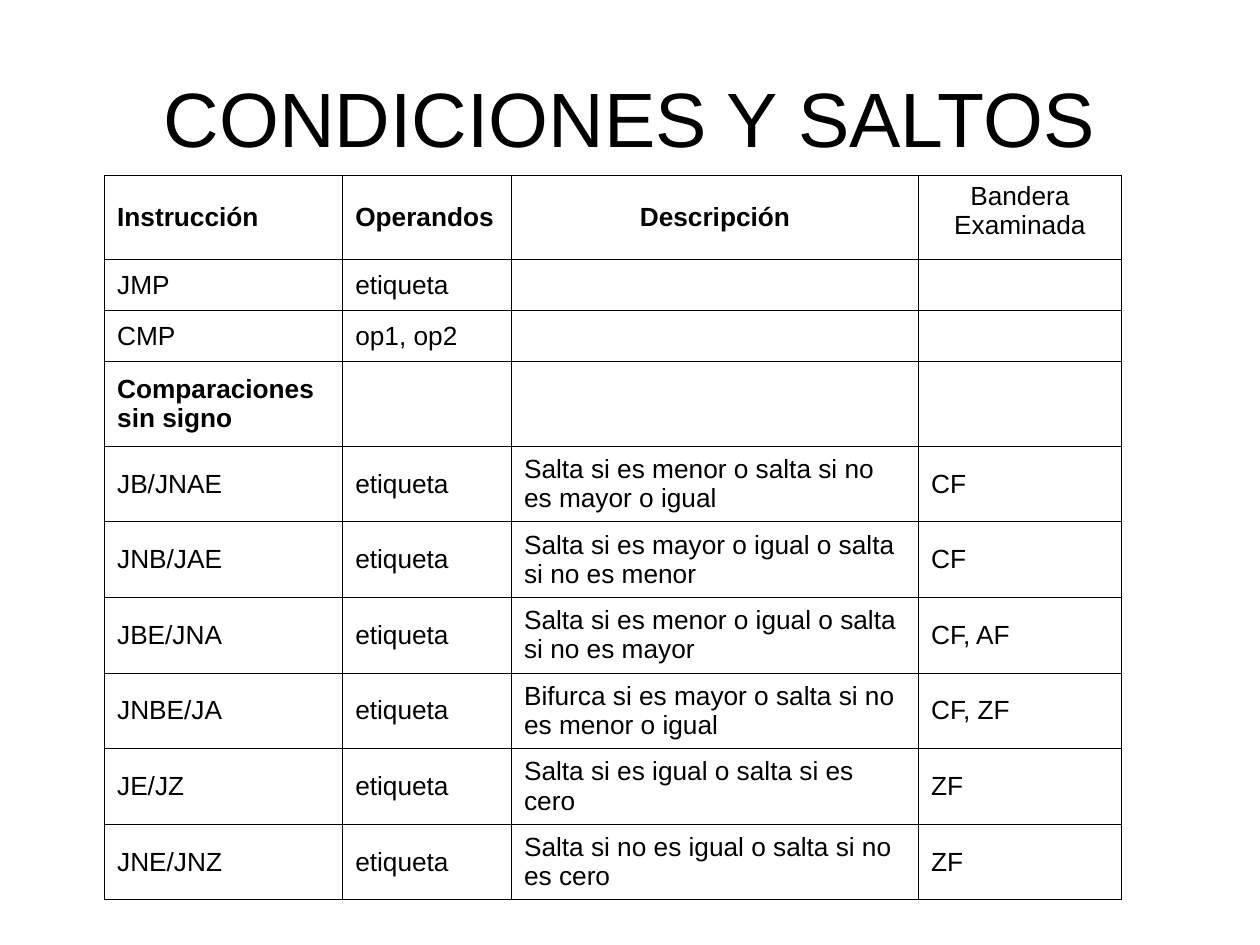
"""Build the slide listing jump instructions, their operands and flags."""
from dataclasses import dataclass

from lxml import etree
from pptx import Presentation
from pptx.dml.color import RGBColor
from pptx.enum.text import MSO_ANCHOR, PP_ALIGN
from pptx.oxml.ns import qn
from pptx.util import Inches, Pt

CENTER, LEFT = PP_ALIGN.CENTER, PP_ALIGN.LEFT
TOP, MIDDLE = MSO_ANCHOR.TOP, MSO_ANCHOR.MIDDLE


@dataclass(frozen=True)
class Theme:
    font: str = "Arial"
    ink: str = "000000"
    paper: str = "FFFFFF"
    title_size: float = 44
    cell_size: float = 15
    thin: float = 0.34
    thick: float = 0.45


theme = Theme()


def style_text(para, size, bold, align):
    para.alignment = align
    for span in para.runs:
        span.font.name = theme.font
        span.font.size = Pt(size)
        span.font.bold = bold
        span.font.color.rgb = RGBColor.from_string(theme.ink)


def add_borders(cell, thick_sides):
    properties = cell._tc.get_or_add_tcPr()
    for side in "LRTB":
        width = theme.thick if side in thick_sides else theme.thin
        line = etree.SubElement(properties, qn(f"a:ln{side}"), w=str(Pt(width)))
        fill = etree.SubElement(line, qn("a:solidFill"))
        etree.SubElement(fill, qn("a:srgbClr"), val=theme.ink)


deck = Presentation()
deck.slide_width, deck.slide_height = Inches(10), Inches(7.5)
page = deck.slides.add_slide(deck.slide_layouts[5])

title = page.shapes.title
title.left, title.top = Inches(0.5), Inches(0.3)
title.width, title.height = Inches(9), Inches(1.25)
title.text_frame.text = "CONDICIONES Y SALTOS"
title.text_frame.vertical_anchor = MIDDLE
style_text(title.text_frame.paragraphs[0], theme.title_size, False, CENTER)

jumps = [
    ("JB/JNAE", "Salta si es menor o salta si no es mayor o igual", "CF"),
    ("JNB/JAE", "Salta si es mayor o igual o salta si no es menor", "CF"),
    ("JBE/JNA", "Salta si es menor o igual o salta si no es mayor", "CF, AF"),
    ("JNBE/JA", "Bifurca si es mayor o salta si no es menor o igual", "CF, ZF"),
    ("JE/JZ", "Salta si es igual o salta si es cero", "ZF"),
    ("JNE/JNZ", "Salta si no es igual o salta si no es cero", "ZF"),
]
rows = [
    ("Instrucción", "Operandos", "Descripción", "Bandera Examinada"),
    ("JMP", "etiqueta", "", ""),
    ("CMP", "op1, op2", "", ""),
    ("Comparaciones sin signo", "", "", ""),
]
rows += [(name, "etiqueta", meaning, flag) for name, meaning, flag in jumps]
column_widths = [1.89, 1.34, 3.23, 1.61]
row_heights = [0.67, 0.39, 0.4, 0.67] + [0.6] * len(jumps)
bold_cells = {(0, 0), (0, 1), (0, 2), (3, 0)}
centered_cells = {(0, 2), (0, 3)}
flag_header = (0, 3)
thick_borders = {flag_header: "TR", (3, 1): "R", (3, 2): "LR", (3, 3): "LR"}

frame = page.shapes.add_table(
    len(rows), len(column_widths), Inches(0.83), Inches(1.39),
    Inches(sum(column_widths)), Inches(sum(row_heights)))
table = frame.table
table.first_row = table.horz_banding = False
for column, width in zip(table.columns, column_widths):
    column.width = Inches(width)
for row, height in zip(table.rows, row_heights):
    row.height = Inches(height)

for row_index, texts in enumerate(rows):
    for column_index, text in enumerate(texts):
        position = (row_index, column_index)
        cell = table.cell(*position)
        add_borders(cell, thick_borders.get(position, ""))
        cell.fill.solid()
        cell.fill.fore_color.rgb = RGBColor.from_string(theme.paper)
        cell.vertical_anchor = TOP if position == flag_header else MIDDLE
        cell.text_frame.text = text
        style_text(cell.text_frame.paragraphs[0], theme.cell_size,
                   position in bold_cells,
                   CENTER if position in centered_cells else LEFT)

table.cell(*flag_header).text_frame.paragraphs[0].space_before = Pt(3.7)

deck.save("out.pptx")
